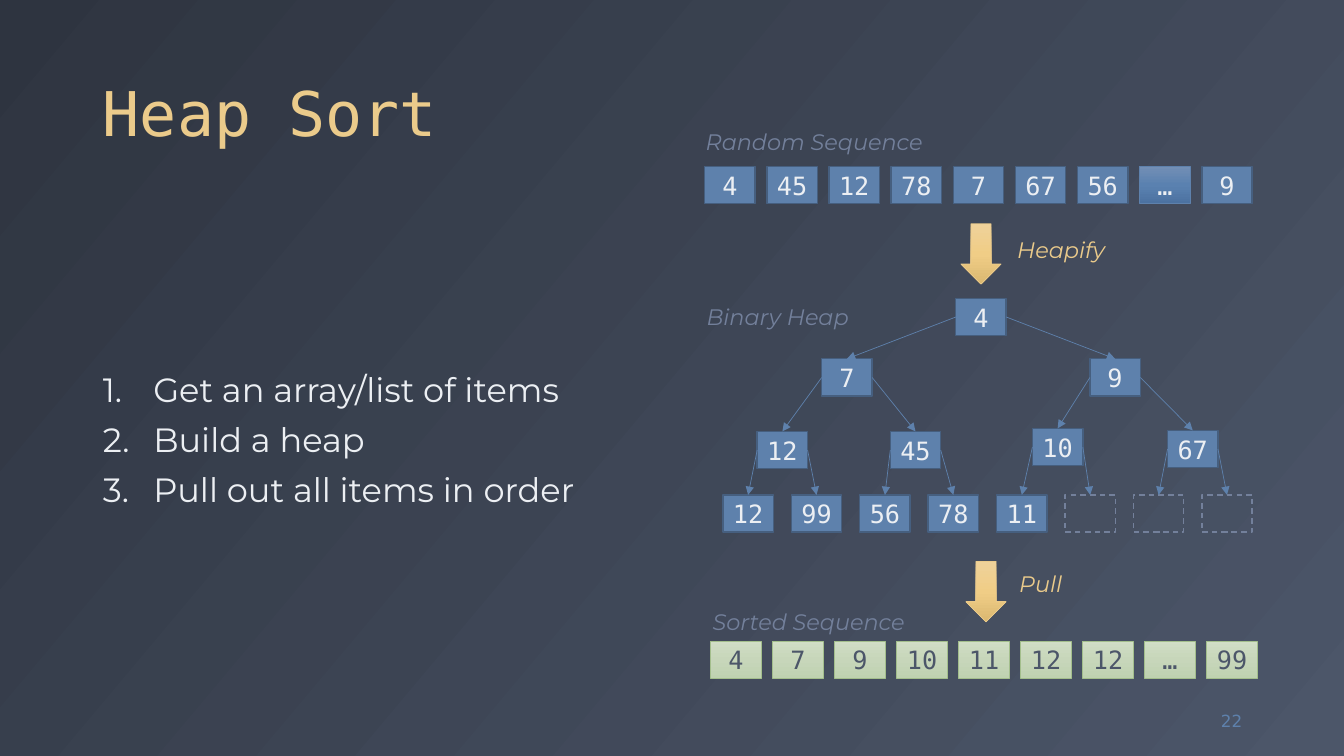
from dataclasses import dataclass

from pptx import Presentation
from pptx.dml.color import RGBColor
from pptx.enum.dml import MSO_LINE
from pptx.enum.shapes import MSO_CONNECTOR, MSO_SHAPE
from pptx.enum.text import MSO_ANCHOR, MSO_AUTO_SIZE, PP_ALIGN
from pptx.oxml.ns import qn
from pptx.util import Inches, Pt
from lxml.etree import SubElement


@dataclass(frozen=True)
class Theme:
    # Colours
    background: tuple = ("2E3440", "4C5669")
    gold: str = "EBCB8B"
    gold_fill: tuple = ("EFD29A", "F0CD86", "DBB871")
    blue: str = "5E81AC"
    blue_edge: str = "465F7F"
    blue_fill: tuple = ("738FB5", "5A81B0", "4C72A1")
    green_edge: str = "A3BE8C"
    green_fill: tuple = ("D1DEC6", "C7D6BA", "BFD2B0")
    light: str = "ECEFF3"
    dark: str = "4C5669"
    muted: str = "73809B"
    # Fonts and type sizes
    mono: str = "DejaVu Sans Mono"
    sans: str = "Montserrat"
    number_font: str = "DejaVu Sans"
    title_size: int = 44
    body_size: int = 24
    box_size: int = 18
    label_size: int = 16
    number_size: int = 12


THEME = Theme()
BOX_WIDTH, BOX_HEIGHT = 0.5, 0.37
RANDOM_ITEMS = ["4", "45", "12", "78", "7", "67", "56", "…", "9"]
SORTED_ITEMS = ["4", "7", "9", "10", "11", "12", "12", "…", "99"]
STEPS = ["Get an array/list of items", "Build a heap", "Pull out all items in order"]

# Heap nodes above the leaves, in level order: left, top, value
INNER_NODES = [
    (9.48, 2.96, "4"),
    (8.15, 3.56, "7"), (10.81, 3.56, "9"),
    (7.51, 4.28, "12"), (8.83, 4.28, "45"), (10.24, 4.25, "10"), (11.58, 4.27, "67"),
]
LEAVES = ["12", "99", "56", "78", "11", "", "", ""]


def spread(first, last, count):
    return [first + (last - first) * i / (count - 1) for i in range(count)]


def style_font(para, size, name, color, italic=None):
    font = para.font
    font.size, font.name, font.italic = Pt(size), name, italic
    font.color.rgb = RGBColor.from_string(color)


def set_gradient(fill, element, colors, angle):
    """Fill with evenly spaced colours; the angle runs clockwise."""
    fill.gradient()
    fill.gradient_angle = 360 - angle
    stops = element.find(".//" + qn("a:gsLst"))
    for stop in list(stops):
        stops.remove(stop)
    for position, color in zip(spread(0, 100000, len(colors)), colors):
        stop = SubElement(stops, qn("a:gs"), pos=str(int(position)))
        SubElement(stop, qn("a:srgbClr"), val=color)


def place(shape, left, top, width, height):
    shape.left, shape.top = Inches(left), Inches(top)
    shape.width, shape.height = Inches(width), Inches(height)


def add_figure(page, kind, frame, fill, edge, weight=0.5):
    """Preset shape; fill is a colour, a tuple of gradient colours or None."""
    shape = page.shapes.add_shape(kind, *map(Inches, frame))
    shape.shadow.inherit = False
    if fill is None:
        shape.fill.background()
    elif isinstance(fill, tuple):
        set_gradient(shape.fill, shape._element, fill, 90)
    else:
        shape.fill.solid()
        shape.fill.fore_color.rgb = RGBColor.from_string(fill)
    shape.line.color.rgb = RGBColor.from_string(edge)
    shape.line.width = Pt(weight)
    return shape


def add_box(page, left, top, value, fill=THEME.blue, edge=THEME.blue_edge,
            weight=1, color=THEME.light):
    frame = (left, top, BOX_WIDTH, BOX_HEIGHT)
    box = add_figure(page, MSO_SHAPE.RECTANGLE, frame, fill, edge, weight)
    text = box.text_frame
    text.word_wrap = False
    text.vertical_anchor = MSO_ANCHOR.MIDDLE
    para = text.paragraphs[0]
    para.text = value
    para.alignment = PP_ALIGN.CENTER
    style_font(para, THEME.box_size, THEME.mono, color)
    return box


def add_empty_box(page, left, top):
    frame = (left, top, BOX_WIDTH, BOX_HEIGHT)
    box = add_figure(page, MSO_SHAPE.RECTANGLE, frame, None, THEME.muted, 1)
    box.line.dash_style = MSO_LINE.DASH
    return box


def add_edge(page, parent, child, parent_site):
    edge = page.shapes.add_connector(MSO_CONNECTOR.STRAIGHT, 0, 0, 0, 0)
    edge.begin_connect(parent, parent_site)
    edge.end_connect(child, 0)
    edge.line.color.rgb = RGBColor.from_string(THEME.blue)
    edge.line.width = Pt(0.5)
    SubElement(edge.line._get_or_add_ln(), qn("a:tailEnd"), type="triangle")
    SubElement(edge._element.spPr, qn("a:effectLst"))


def add_label(page, left, top, width, text, color):
    label = page.shapes.add_textbox(*map(Inches, (left, top, width, 0.37)))
    label.text_frame.word_wrap = False
    label.text_frame.auto_size = MSO_AUTO_SIZE.SHAPE_TO_FIT_TEXT
    para = label.text_frame.paragraphs[0]
    para.text = text
    style_font(para, THEME.label_size, THEME.sans, color, italic=True)


def add_heap(page):
    boxes = [add_box(page, *node) for node in INNER_NODES]
    for left, value in zip(spread(7.17, 11.92, len(LEAVES)), LEAVES):
        boxes.append(add_box(page, left, 4.91, value) if value
                     else add_empty_box(page, left, 4.91))
    # Left children hang from site 1 (left side), right children from site 3
    for index in range(1, len(boxes)):
        add_edge(page, boxes[(index - 1) // 2], boxes[index], 1 if index % 2 else 3)


def add_sequences(page):
    for left, value in zip(spread(6.99, 11.92, len(RANDOM_ITEMS)), RANDOM_ITEMS):
        if value == "…":
            add_box(page, left, 1.65, value, THEME.blue_fill, THEME.blue, 0.5)
        else:
            add_box(page, left, 1.65, value)
    for left, value in zip(spread(7.05, 11.97, len(SORTED_ITEMS)), SORTED_ITEMS):
        add_box(page, left, 6.36, value, THEME.green_fill, THEME.green_edge, 0.5, THEME.dark)


def fill_title(page):
    title = page.shapes.title
    place(title, 0.92, 0.18, 11.5, 1.36)
    title.text_frame.vertical_anchor = MSO_ANCHOR.BOTTOM
    title.text_frame.auto_size = MSO_AUTO_SIZE.NONE
    para = title.text_frame.paragraphs[0]
    para.text = "Heap Sort"
    para.alignment = PP_ALIGN.LEFT
    para.line_spacing = 0.9
    style_font(para, THEME.title_size, THEME.mono, THEME.gold)


def fill_steps(page):
    body = page.placeholders[1]
    place(body, 0.92, 2, 5.47, 4.76)
    text = body.text_frame
    text.vertical_anchor = MSO_ANCHOR.MIDDLE
    text.auto_size = MSO_AUTO_SIZE.NONE
    text.text = "\n".join(STEPS)
    for para in text.paragraphs:
        para.line_spacing = 0.9
        para.space_before = Pt(10)
        style_font(para, THEME.body_size, THEME.sans, THEME.light)
        properties = para._p.get_or_add_pPr()
        properties.set("marL", str(Inches(0.5)))
        properties.set("indent", str(-Inches(0.5)))
        numbering = properties.makeelement(qn("a:buAutoNum"), {"type": "arabicPeriod"})
        properties.find(qn("a:defRPr")).addprevious(numbering)


def add_page_number(page):
    box = page.shapes.add_textbox(*map(Inches, (11.59, 6.95, 0.83, 0.4)))
    box.text_frame.word_wrap = True
    box.text_frame.vertical_anchor = MSO_ANCHOR.MIDDLE
    para = box.text_frame.paragraphs[0]
    para.text = "22"
    para.alignment = PP_ALIGN.RIGHT
    style_font(para, THEME.number_size, THEME.number_font, THEME.blue)


def main():
    deck = Presentation()
    deck.slide_width, deck.slide_height = Inches(13.33), Inches(7.5)
    page = deck.slides.add_slide(deck.slide_layouts[1])
    set_gradient(page.background.fill, page._element, THEME.background, 40)

    fill_title(page)
    fill_steps(page)
    add_page_number(page)
    add_heap(page)
    add_sequences(page)

    # Arrows and captions between the stages
    for left, top in [(9.53, 2.22), (9.58, 5.57)]:
        add_figure(page, MSO_SHAPE.DOWN_ARROW, (left, top, 0.4, 0.6), THEME.gold_fill, THEME.gold)
    add_label(page, 9.99, 2.29, 1.08, "Heapify", THEME.gold)
    add_label(page, 10.01, 5.61, 0.63, "Pull", THEME.gold)
    add_label(page, 6.91, 2.96, 1.63, "Binary Heap", THEME.muted)
    add_label(page, 6.9, 1.22, 2.39, "Random Sequence", THEME.muted)
    add_label(page, 6.97, 5.98, 2.13, "Sorted Sequence", THEME.muted)

    deck.save("out.pptx")


if __name__ == "__main__":
    main()
